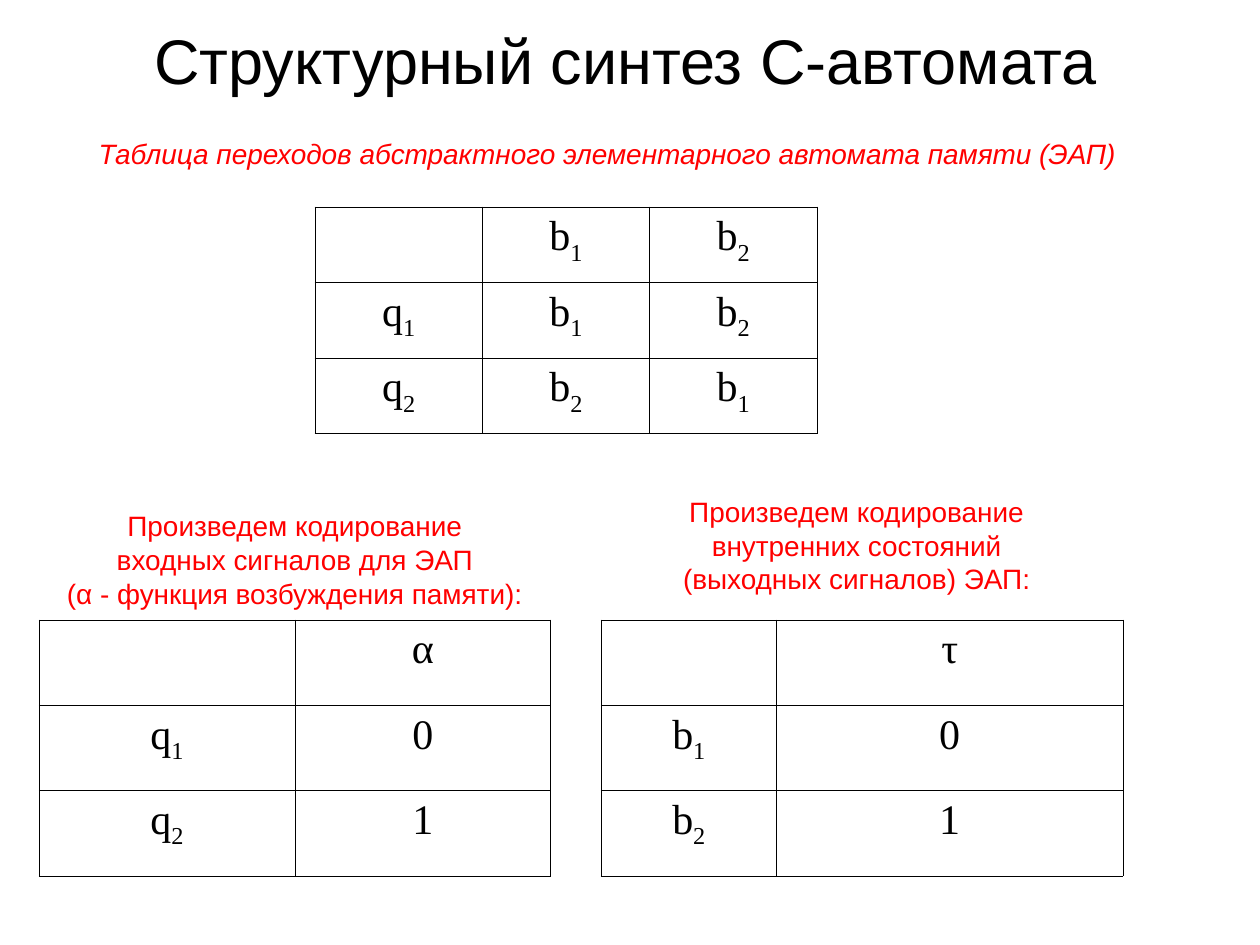
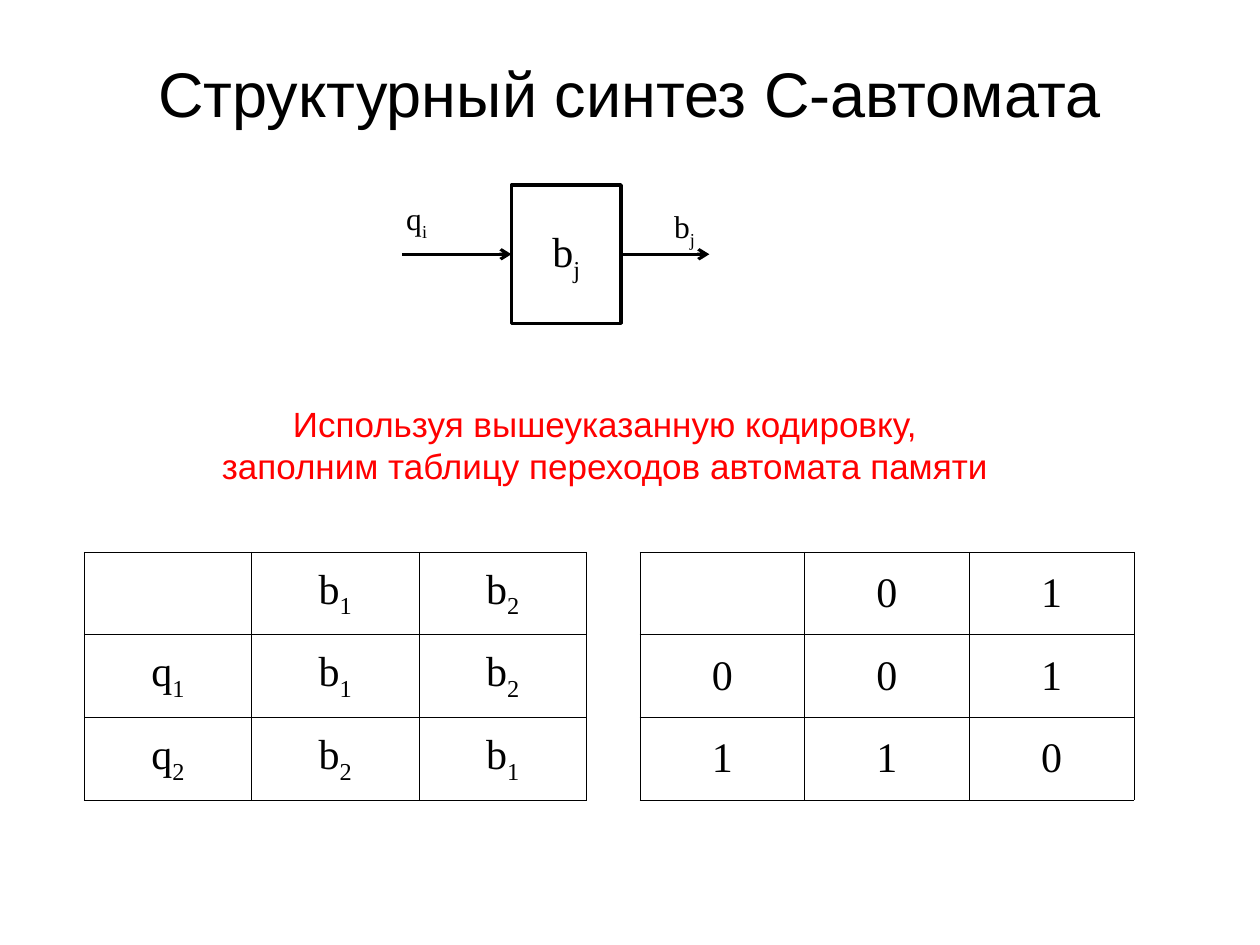
import pptx
import pptx.dml.color
import pptx.enum.shapes
import pptx.enum.text
import pptx.oxml.ns
import pptx.util
from lxml import etree

Cm = pptx.util.Cm
Pt = pptx.util.Pt
Align = pptx.enum.text.PP_ALIGN
Anchor = pptx.enum.text.MSO_ANCHOR
qn = pptx.oxml.ns.qn

COLORS = {"ink": "000000", "caption": "FF0000", "paper": "FFFFFF"}
SANS, SERIF = "Arial", "Times New Roman"
TITLE = "Структурный синтез С-автомата"
TRANSITIONS = [["", "b_1", "b_2"], ["q_1", "b_1", "b_2"], ["q_2", "b_2", "b_1"]]
CODED_TRANSITIONS = [["", "0", "1"], ["0", "0", "1"], ["1", "1", "0"]]
INPUT_CODES = [["", "α"], ["q_1", "0"], ["q_2", "1"]]
STATE_CODES = [["", "τ"], ["b_1", "0"], ["b_2", "1"]]


def rgb(name):
    return pptx.dml.color.RGBColor.from_string(COLORS[name])


def lengths(*values):
    return [Cm(round(value, 2)) for value in values]


def style(paragraph, size, face, color, italic=False):
    paragraph.alignment = Align.CENTER
    font = paragraph.font
    font.size, font.name, font.italic = Pt(size), face, italic
    font.color.rgb = rgb(color)


def write_symbol(paragraph, symbol, size=24):
    base, _, index = symbol.partition("_")
    style(paragraph, size, SERIF, "ink")
    if base:
        paragraph.add_run().text = base
    if index:
        subscript = paragraph.add_run()
        subscript.text = index
        subscript._r.get_or_add_rPr().set("baseline", "-25000")


def add_frame(slide, box, anchor=Anchor.MIDDLE):
    frame = slide.shapes.add_textbox(*lengths(*box)).text_frame
    frame.word_wrap = True
    frame.vertical_anchor = anchor
    return frame


def add_lines(slide, box, lines, size, color="caption", italic=False, anchor=Anchor.MIDDLE):
    frame = add_frame(slide, box, anchor)
    for number, line in enumerate(lines):
        paragraph = frame.add_paragraph() if number else frame.paragraphs[0]
        paragraph.text = line
        style(paragraph, size, SANS, color, italic)


def add_title(slide, box):
    add_lines(slide, box, [TITLE], 36, "ink")


def border_cell(cell):
    properties = cell._tc.get_or_add_tcPr()
    for position, side in enumerate(("a:lnL", "a:lnR", "a:lnT", "a:lnB")):
        edge = etree.Element(qn(side), w=str(Pt(0.45)))
        fill = etree.SubElement(edge, qn("a:solidFill"))
        etree.SubElement(fill, qn("a:srgbClr"), val=COLORS["ink"])
        properties.insert(position, edge)


def add_symbol_table(slide, box, rows, shares=None, anchor=Anchor.TOP, inset=0.2):
    x, y, width, height = box
    shares = shares or [1] * len(rows[0])
    table = slide.shapes.add_table(len(rows), len(shares), *lengths(*box)).table
    table.first_row = table.horz_banding = False
    for column, share in zip(table.columns, shares):
        column.width = Cm(width * share / sum(shares))
    for row, symbols in zip(table.rows, rows):
        row.height = Cm(height / len(rows))
        for cell, symbol in zip(row.cells, symbols):
            cell.fill.background()
            cell.vertical_anchor = anchor
            cell.margin_left = cell.margin_right = Cm(inset)
            border_cell(cell)
            write_symbol(cell.text_frame.paragraphs[0], symbol)


def encoding_panel(slide, box, caption, codes, shares=None, caption_shift=(0, 0)):
    x, y, width, height = box
    dx, dy = caption_shift
    add_symbol_table(slide, box, codes, shares)
    add_lines(slide, (x + dx, y - 2.37 + dy, width, 2.29), caption, 16)


def add_signal(slide, block, side, outer_x, y):
    incoming = side == 1
    block_x = block.left if incoming else block.left + block.width
    ends = (Cm(outer_x), block_x) if incoming else (block_x, Cm(outer_x))
    signal = slide.shapes.add_connector(
        pptx.enum.shapes.MSO_CONNECTOR.STRAIGHT, ends[0], Cm(y), ends[1], Cm(y))
    join = signal.end_connect if incoming else signal.begin_connect
    join(block, side)
    signal.line.color.rgb = rgb("ink")
    signal.line.width = Pt(1.75)
    etree.SubElement(signal.line._get_or_add_ln(), qn("a:tailEnd"), type="arrow")
    etree.SubElement(signal._element.spPr, qn("a:effectLst"))


def add_signal_label(slide, x, y, symbol):
    frame = add_frame(slide, (x, y, 1, 0.86), Anchor.TOP)
    frame.margin_left = frame.margin_right = frame.margin_top = frame.margin_bottom = 0
    write_symbol(frame.paragraphs[0], symbol, 18)


def memory_diagram(slide, box):
    x, y, width, height = box
    block = slide.shapes.add_shape(
        pptx.enum.shapes.MSO_SHAPE.RECTANGLE, *lengths(x + 2.21, y, 2.21, height))
    block.shadow.inherit = False
    block.fill.background()
    block.line.color.rgb = rgb("ink")
    block.line.width = Pt(2)
    block.text_frame.vertical_anchor = Anchor.MIDDLE
    write_symbol(block.text_frame.paragraphs[0], "b_j")
    add_signal(slide, block, 1, x, y + height / 2)
    add_signal(slide, block, 3, x + width, y + height / 2)
    add_signal_label(slide, x - 0.2, y + 0.28, "q_i")
    add_signal_label(slide, x + width - 1, y + 0.44, "b_j")


def encoding_slide(slide):
    add_title(slide, (1.19, 0, 22.86, 2.39))
    add_lines(slide, (0.79, 2.63, 22.91, 1.4),
              ["Таблица переходов абстрактного элементарного автомата памяти (ЭАП)"],
              16, italic=True, anchor=Anchor.TOP)
    add_symbol_table(slide, (6.35, 4.17, 10.12, 4.57), TRANSITIONS)
    encoding_panel(slide, (0.79, 12.5, 10.31, 5.16),
                   ["Произведем кодирование",
                    "входных сигналов для ЭАП",
                    "(α - функция возбуждения памяти):"], INPUT_CODES)
    encoding_panel(slide, (12.12, 12.5, 10.52, 5.16),
                   ["Произведем кодирование",
                    "внутренних состояний",
                    "(выходных сигналов) ЭАП:"], STATE_CODES,
                   shares=(1.39, 2.75), caption_shift=(-0.11, -0.29))


def transition_slide(slide):
    add_title(slide, (1.27, 0.76, 22.86, 2.21))
    memory_diagram(slide, (8.1, 3.73, 6.2, 2.79))
    add_lines(slide, (1.3, 7.98, 21.79, 1.96),
              ["Используя вышеуказанную кодировку,",
               "заполним таблицу переходов автомата памяти"], 20)
    add_symbol_table(slide, (1.7, 11.13, 10.12, 5), TRANSITIONS, anchor=Anchor.MIDDLE)
    add_symbol_table(slide, (12.9, 11.13, 9.96, 5), CODED_TRANSITIONS,
                     anchor=Anchor.MIDDLE, inset=0.15)


def main():
    deck = pptx.Presentation()
    deck.slide_width, deck.slide_height = Cm(25.4), Cm(19.05)
    for build in (encoding_slide, transition_slide):
        slide = deck.slides.add_slide(deck.slide_layouts[6])
        slide.background.fill.solid()
        slide.background.fill.fore_color.rgb = rgb("paper")
        build(slide)
    deck.save("out.pptx")


if __name__ == "__main__":
    main()
